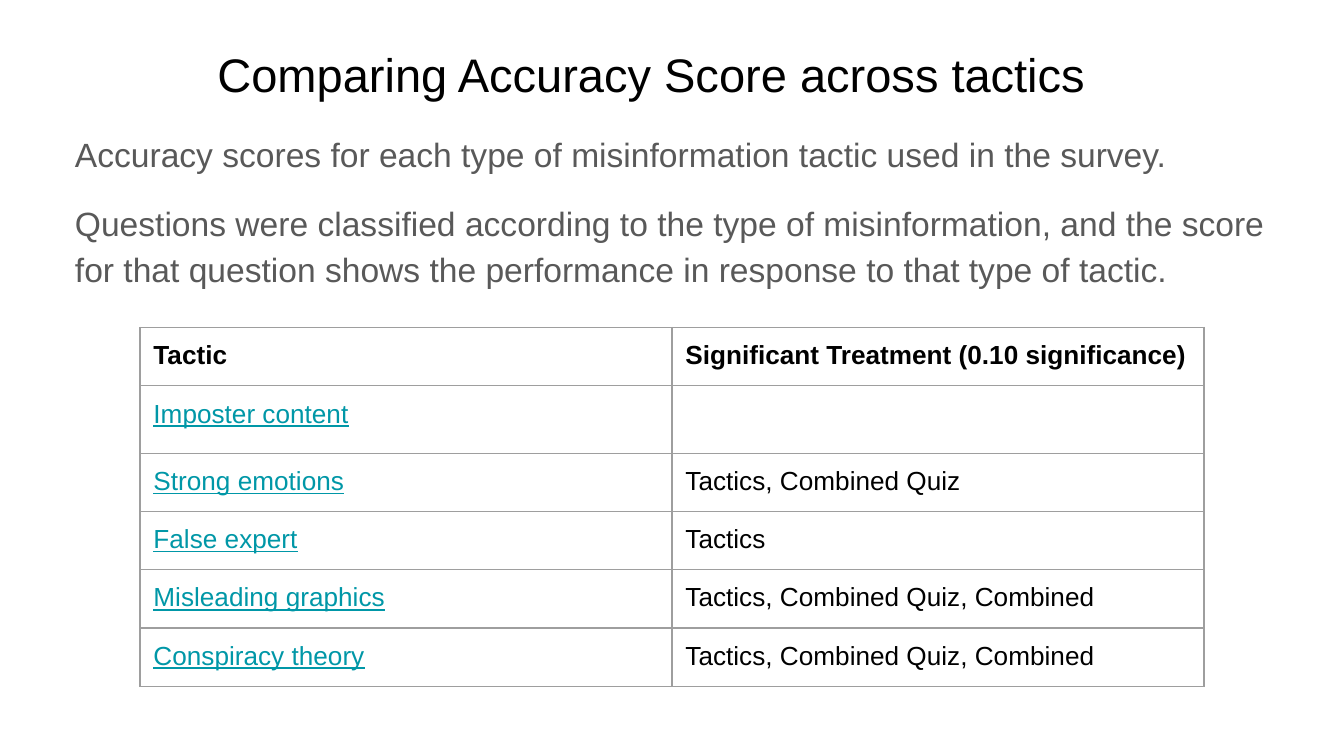
from lxml.etree import SubElement
from pptx import Presentation
from pptx.dml.color import RGBColor
from pptx.enum.text import MSO_ANCHOR as Anchor
from pptx.oxml.ns import qn
from pptx.util import Pt

INSET = Pt(7.2)
MARGINS = ("margin_left", "margin_top", "margin_right", "margin_bottom")
TITLE = "Comparing Accuracy Score across tactics"
INTRO = [
    "Accuracy scores for each type of misinformation tactic used in the survey.",
    "Questions were classified according to the type of misinformation, and the score "
    "for that question shows the performance in response to that type of tactic.",
]
HEADERS = ("Tactic", "Significant Treatment (0.10 significance)")
RESULTS = [
    ("Imposter content", ""),
    ("Strong emotions", "Tactics, Combined Quiz"),
    ("False expert", "Tactics"),
    ("Misleading graphics", "Tactics, Combined Quiz, Combined"),
    ("Conspiracy theory", "Tactics, Combined Quiz, Combined"),
]
HEADER_FORMAT = {"size": Pt(14), "bold": True}
TACTIC_FORMAT = {"size": Pt(14), "bold": False, "underline": True}
TREATMENT_FORMAT = {"size": Pt(14), "bold": False}


def rgb(value):
    """Turn a hex string into a colour."""
    return RGBColor.from_string(value)


def apply_format(target, values):
    """Set every attribute in values on the target."""
    for name, value in values.items():
        setattr(target, name, value)


def write_run(paragraph, text, color, font_format):
    """Add one formatted run to a paragraph."""
    run = paragraph.add_run()
    run.text = text
    apply_format(run.font, {"name": "Arial", **font_format})
    run.font.color.rgb = rgb(color)


def add_text(slide, box, lines, color, size, anchor=Anchor.TOP, spacing=1.0, gap=0):
    """Add a text box with one paragraph per line."""
    frame = slide.shapes.add_textbox(*map(Pt, box)).text_frame
    apply_format(frame, {"word_wrap": True, "vertical_anchor": anchor,
                         **dict.fromkeys(MARGINS, INSET)})
    for index, line in enumerate(lines):
        paragraph = frame.add_paragraph() if index else frame.paragraphs[0]
        paragraph.line_spacing = spacing
        if index:
            paragraph.space_before = Pt(gap)
        write_run(paragraph, line, color, {"size": Pt(size)})


def add_borders(cell, color, width):
    """Draw a thin line on all four sides of a cell."""
    properties = cell._tc.get_or_add_tcPr()
    for position, side in enumerate(("lnL", "lnR", "lnT", "lnB")):
        border = SubElement(properties, qn(f"a:{side}"), w=str(Pt(width)))
        fill = SubElement(border, qn("a:solidFill"))
        SubElement(fill, qn("a:srgbClr"), val=color)
        properties.insert(position, border)


def fill_cell(cell, text, color, font_format):
    """Write and style one table cell."""
    apply_format(cell, dict.fromkeys(MARGINS, INSET))
    cell.fill.background()
    add_borders(cell, "9E9E9E", 0.75)
    if text:
        write_run(cell.text_frame.paragraphs[0], text, color, font_format)


def add_results(slide, left, top, column_width, row_height):
    """Add the table of tactics and their significant treatments."""
    rows = [HEADERS, *RESULTS]
    table = slide.shapes.add_table(
        len(rows), len(HEADERS), Pt(left), Pt(top),
        Pt(column_width * len(HEADERS)), Pt(row_height * len(rows))).table
    apply_format(table, {"first_row": False, "horz_banding": False})
    for column in table.columns:
        column.width = Pt(column_width)
    for index, (tactic, treatment) in enumerate(rows):
        table.rows[index].height = Pt(row_height)
        if index:
            fill_cell(table.cell(index, 0), tactic, "0097A7", TACTIC_FORMAT)
            fill_cell(table.cell(index, 1), treatment, "000000", TREATMENT_FORMAT)
        else:
            fill_cell(table.cell(index, 0), tactic, "000000", HEADER_FORMAT)
            fill_cell(table.cell(index, 1), treatment, "000000", HEADER_FORMAT)


def main():
    """Build the slide and save it."""
    deck = Presentation()
    apply_format(deck, {"slide_width": Pt(720), "slide_height": Pt(405)})
    slide = deck.slides.add_slide(deck.slide_layouts[6])
    add_text(slide, (109.4, 16.6, 509, 45.4), [TITLE], "000000", 25.2, Anchor.BOTTOM)
    add_text(slide, (33.1, 61.2, 662.4, 267.8), INTRO, "595959", 18, spacing=1.15, gap=12)
    add_results(slide, 75, 175.5, 285, 27.4)
    deck.save("out.pptx")


if __name__ == "__main__":
    main()
